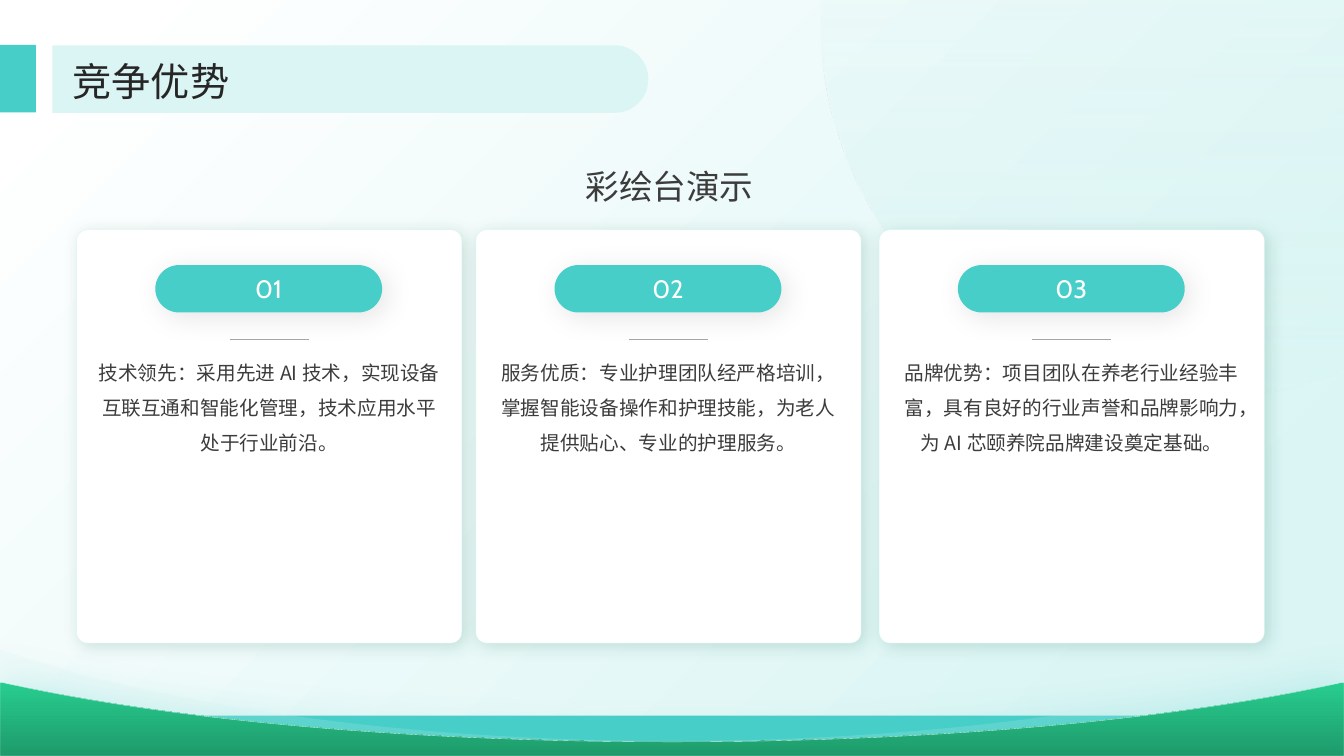
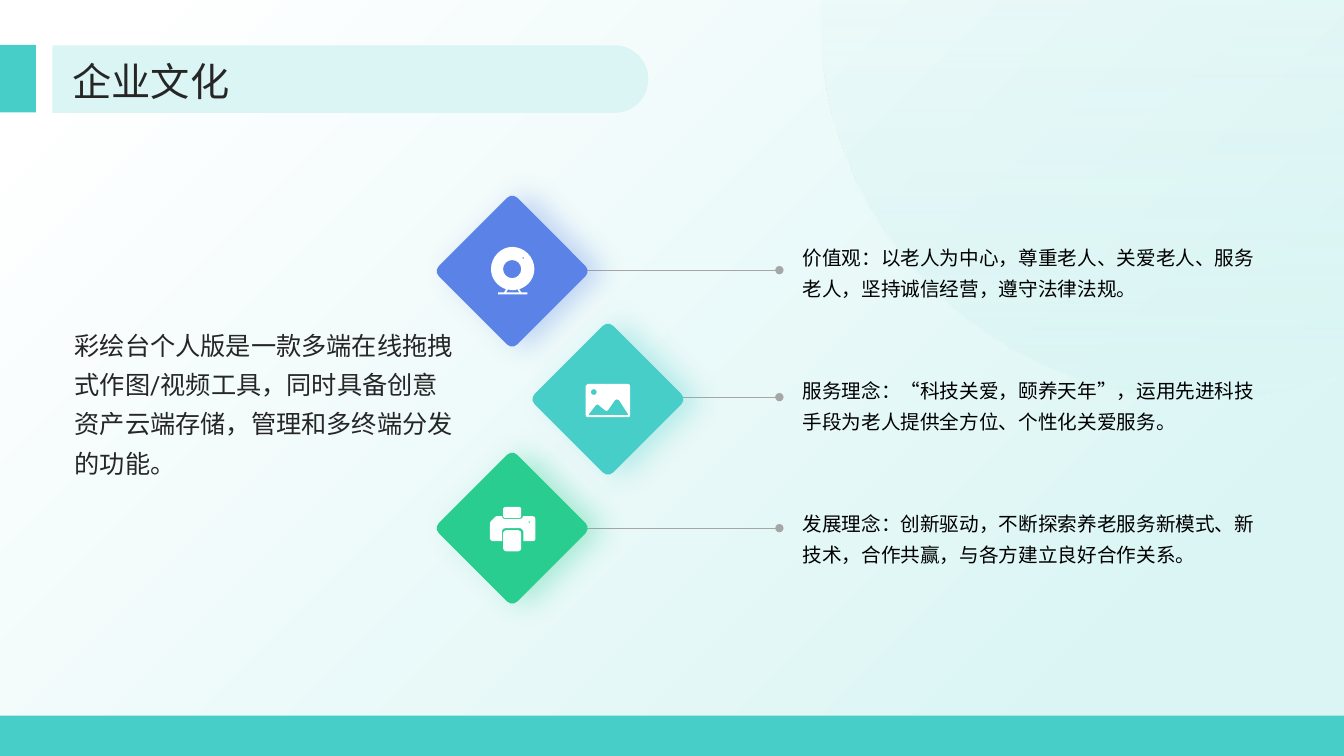
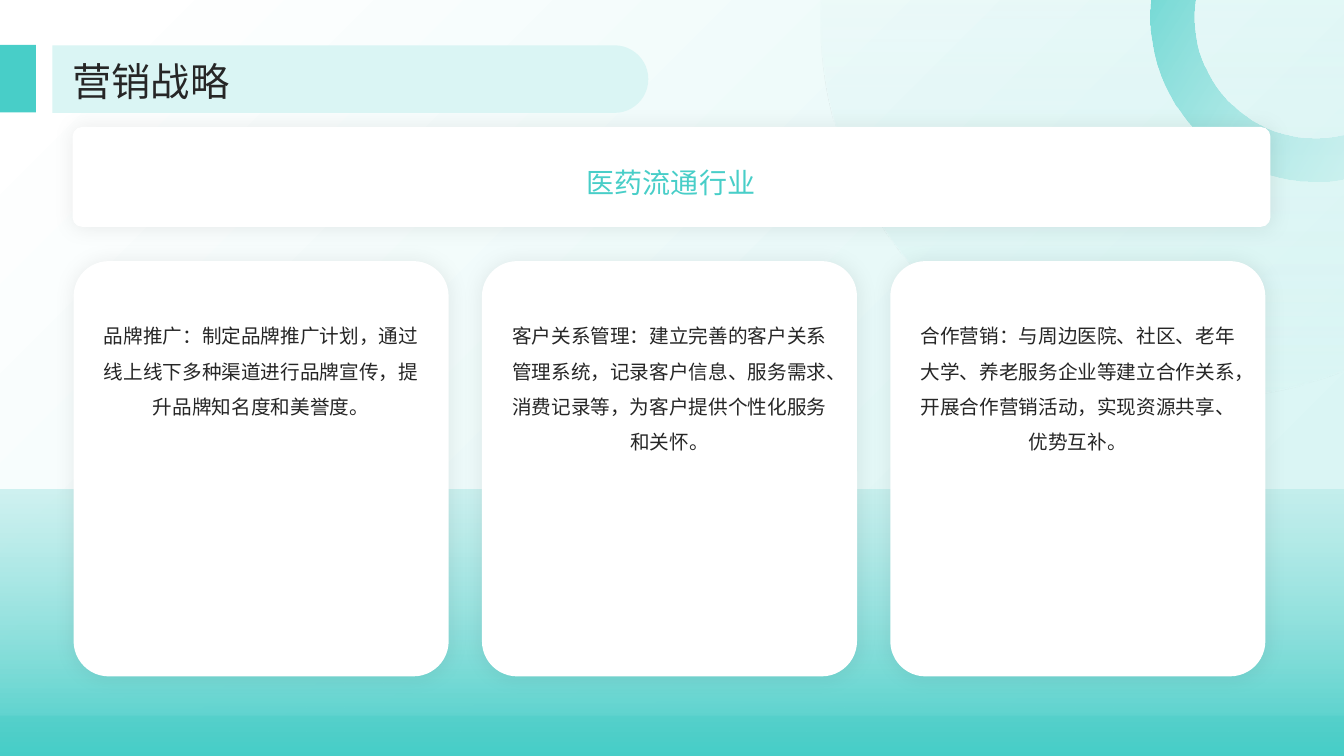
"""Build three slides on the advantages, culture and marketing of a care project."""
import lxml.etree
import pptx
import pptx.dml.color
import pptx.enum.shapes
import pptx.enum.text
import pptx.oxml.ns
import pptx.util

PX = 9144
PAGE_WIDTH, PAGE_HEIGHT = 1333, 750

RGB = pptx.dml.color.RGBColor
TEAL = RGB(0x48, 0xCE, 0xC8)
PALE = RGB(0xDA, 0xF5, 0xF4)
MIST = RGB(0xB6, 0xEB, 0xE9)
BLUE = RGB(0x5B, 0x83, 0xE7)
GREEN = RGB(0x28, 0xCD, 0x8F)
DEEP_GREEN = RGB(0x1E, 0x9A, 0x6B)
SHADE_GREEN = RGB(0x14, 0x66, 0x48)
WHITE = RGB(0xFF, 0xFF, 0xFF)
BLACK = RGB(0x00, 0x00, 0x00)
INK = RGB(0x26, 0x26, 0x26)
SLATE = RGB(0x3C, 0x3C, 0x3C)
GREY = RGB(0xA6, 0xA6, 0xA6)

SANS, CABIN, ROBOTO = "Noto Sans CJK SC", "Cabin", "Roboto"
SHAPE = pptx.enum.shapes.MSO_SHAPE
CENTER = pptx.enum.text.PP_ALIGN.CENTER
LEFT = pptx.enum.text.PP_ALIGN.LEFT
MIDDLE = pptx.enum.text.MSO_ANCHOR.MIDDLE
TOP = pptx.enum.text.MSO_ANCHOR.TOP

CARD_SHADOW = (SHADE_GREEN, 19, 12, 3, 45)
PILL_SHADOW = (BLACK, 10, 20, 5, 45)
PANEL_SHADOW = (BLACK, 8, 15, 0, 0)
WAVE_SHADOW = (TEAL, 26, 29, 3, 270)


def add_node(parent, tag, **attributes):
    """Append a drawing element to a parent."""
    node = lxml.etree.SubElement(parent, pptx.oxml.ns.qn("a:" + tag))
    for name, value in attributes.items():
        node.set(name, str(value))
    return node


def add_colour(parent, color, opacity):
    """Append a colour with an opacity in percent."""
    node = add_node(parent, "srgbClr", val=color)
    if opacity < 100:
        add_node(node, "alpha", val=opacity * 1000)


def style(shape, fill, opacity=100, line=None, shadow=None):
    """Set the fill, outline and shadow of a shape."""
    shape.fill.solid()
    shape.fill.fore_color.rgb = fill
    if opacity < 100:
        solid = shape.element.spPr.find(pptx.oxml.ns.qn("a:solidFill"))
        add_node(solid[0], "alpha", val=opacity * 1000)
    if line is None:
        shape.line.fill.background()
    else:
        shape.line.color.rgb = line
        shape.line.width = pptx.util.Pt(0.25)
    shape.shadow.inherit = False
    if shadow:
        color, strength, blur, distance, angle = shadow
        effects = shape.element.spPr.find(pptx.oxml.ns.qn("a:effectLst"))
        outer = add_node(effects, "outerShdw", blurRad=pptx.util.Pt(blur), dist=pptx.util.Pt(distance),
                         dir=angle * 60000, algn="ctr", rotWithShape=0)
        add_colour(outer, color, strength)


def blend(shape, angle, *stops):
    """Swap the solid fill for a gradient of (place, colour, opacity) stops."""
    solid = shape.element.spPr.find(pptx.oxml.ns.qn("a:solidFill"))
    gradient = lxml.etree.Element(pptx.oxml.ns.qn("a:gradFill"))
    gradient.set("rotWithShape", "1")
    stop_list = add_node(gradient, "gsLst")
    for place, color, opacity in stops:
        add_colour(add_node(stop_list, "gs", pos=place * 1000), color, opacity)
    add_node(gradient, "lin", ang=angle * 60000, scaled=0)
    solid.getparent().replace(solid, gradient)


def add_shape(page, kind, box, fill, adjust=(), rotation=0, **looks):
    """Add a preset shape in a px box."""
    shape = page.shapes.add_shape(kind, *(length * PX for length in box))
    for index, value in enumerate(adjust):
        shape.adjustments[index] = value
    shape.rotation = rotation
    style(shape, fill, **looks)
    return shape


def is_curve(step):
    """Tell a curve of three points from a single point."""
    return isinstance(step[0], tuple)


def add_outline(page, contours, fill, origin=(0, 0), **looks):
    """Add one freeform of closed contours made of points and cubic curves."""
    def place(point):
        return tuple(round((offset + value) * PX) for offset, value in zip(origin, point))

    builder = page.shapes.build_freeform(*place(contours[0][0]), scale=1.0)
    steps = []
    for index, contour in enumerate(contours):
        if index:
            builder.move_to(*place(contour[0]))
        builder.add_line_segments([place(step[-1] if is_curve(step) else step) for step in contour[1:]], close=True)
        steps += contour[1:]
    shape = builder.convert_to_shape()
    segments = list(shape.element.iter(pptx.oxml.ns.qn("a:lnTo")))
    for segment, step in zip(segments, steps):
        if is_curve(step):
            curve = lxml.etree.Element(pptx.oxml.ns.qn("a:cubicBezTo"))
            for point in step:
                x, y = place(point)
                add_node(curve, "pt", x=x - shape.left, y=y - shape.top)
            segment.getparent().replace(segment, curve)
    style(shape, fill, **looks)
    return shape


def add_line(page, start, end, color, dot=False):
    """Add a thin straight line, with a dot at its end if asked."""
    line = page.shapes.add_connector(pptx.enum.shapes.MSO_CONNECTOR.STRAIGHT,
                                     *(length * PX for length in start + end))
    line.line.color.rgb = color
    line.line.width = pptx.util.Pt(0.5)
    if dot:
        add_node(line.line._get_or_add_ln(), "tailEnd", type="oval")
    add_node(line.element.spPr, "effectLst")


def write(frame, text, size, color, font=SANS, align=LEFT, anchor=TOP, spacing=1.0, inset=(0, 0)):
    """Put one formatted paragraph in a text frame."""
    frame.word_wrap = True
    frame.vertical_anchor = anchor
    frame.margin_left = frame.margin_right = inset[0] * PX
    frame.margin_top = frame.margin_bottom = inset[1] * PX
    frame.text = text
    para = frame.paragraphs[0]
    para.alignment = align
    para.line_spacing = spacing
    span = para.runs[0]
    span.font.size = pptx.util.Pt(size)
    span.font.color.rgb = color
    span.font.name = font
    properties = span.font._element
    properties.set("lang", "zh-CN")
    add_node(properties, "ea", typeface=SANS)


def add_text(page, box, text, size, color, **looks):
    """Add a text box in a px box."""
    frame = page.shapes.add_textbox(*(length * PX for length in box)).text_frame
    write(frame, text, size, color, **looks)


def rounded(x, y, width, height, radius):
    """Return the contour of a rectangle with round corners."""
    pull = 0.45 * radius
    right, bottom = x + width, y + height
    contour = [(x + radius, y)]
    corners = (((right, y), (-1, 0), (0, 1)), ((right, bottom), (0, -1), (-1, 0)),
               ((x, bottom), (1, 0), (0, -1)), ((x, y), (0, 1), (1, 0)))
    for (corner_x, corner_y), (back_x, back_y), (on_x, on_y) in corners:
        if width > 2 * radius:
            contour.append((corner_x + back_x * radius, corner_y + back_y * radius))
        contour.append(((corner_x + back_x * pull, corner_y + back_y * pull),
                        (corner_x + on_x * pull, corner_y + on_y * pull),
                        (corner_x + on_x * radius, corner_y + on_y * radius)))
    return contour


def circle(x, y, radius):
    """Return the contour of a circle."""
    return rounded(x - radius, y - radius, 2 * radius, 2 * radius, radius)


WEBCAM = [[(0, -24), ((12, -24), (22, -14), (22, -2)), ((22, 7), (16, 15), (7, 18)), (9, 21), (15, 21),
           (15, 23), (-14, 23), (-14, 21), (-8, 21), (-6, 18), ((-15, 15), (-21, 7), (-21, -2)),
           ((-21, -14), (-11, -24), (0, -24))],
          [(-4, 18), (-6, 21), (7, 21), (5, 18), ((4, 19), (2, 19), (0, 19)), ((-1, 19), (-3, 19), (-4, 18))],
          circle(0, -2, 9), circle(11, -13, 1)]
PHOTO = [rounded(-22, -15, 44, 33, 2), circle(-14, -7, 3),
         [(-19, 16), (-19, 15), (-12, 6), ((-11, 5), (-10, 5), (-9, 6)), (-3, 11), ((-2, 12), (-1, 12), (0, 11)),
          (7, 1), ((8, 0), (10, 0), (11, 1)), (20, 15), (20, 16)]]
PRINTER = [rounded(-9, 2, 18, 21, 3),
           [(-10, -12), ((-10, -10), (-9, -9), (-7, -9)), (7, -9), ((9, -9), (11, -10), (11, -12)),
            (20, -12), ((22, -12), (23, -11), (23, -9)), (23, 11), ((23, 12), (22, 13), (20, 13)),
            (11, 13), (11, 3), ((11, 2), (9, 0), (8, 0)), (-7, 0), ((-9, 0), (-10, 1), (-10, 3)),
            (-10, 13), (-20, 13), ((-21, 13), (-22, 12), (-22, 11)), (-22, -5),
            ((-22, -5), (-22, -6), (-21, -7)), (-17, -11), ((-17, -11), (-16, -12), (-15, -12))],
           circle(17, -6, 1), rounded(-9, -21, 18, 11, 2)]


def add_backdrop(deck):
    """Add a page with the shared background and bottom band."""
    page = deck.slides.add_slide(deck.slide_layouts[6])
    wash = add_shape(page, SHAPE.RECTANGLE, (0, 0, PAGE_WIDTH, PAGE_HEIGHT), PALE, rotation=180)
    blend(wash, 45, (14, PALE, 100), (95, WHITE, 100))
    disc = add_shape(page, SHAPE.OVAL, (814, -359, 753, 753), PALE, rotation=45)
    blend(disc, 45, (40, PALE, 0), (100, PALE, 100))
    add_shape(page, SHAPE.RECTANGLE, (-7, 710, 1348, 40), TEAL)
    return page


def add_header(page, title):
    """Add the shared title bar."""
    add_shape(page, SHAPE.RECTANGLE, (-16, 60, 67, 36), TEAL, rotation=90)
    add_shape(page, SHAPE.ROUND_2_SAME_RECTANGLE, (314, -217, 67, 591), PALE, adjust=(0.5, 0), rotation=90)
    add_text(page, (72, 52, 1188, 51), title, 28, INK, anchor=MIDDLE, spacing=1.1)


def add_wave(page, edge, shoulder, bottom, fill, **looks):
    """Add a hill outline that sags from both page edges."""
    contour = [(0, edge), (2, edge), ((166, shoulder), (403, bottom), (667, bottom)),
               ((930, bottom), (1167, shoulder), (1331, edge)),
               (PAGE_WIDTH, edge), (PAGE_WIDTH, PAGE_HEIGHT), (0, PAGE_HEIGHT)]
    return add_outline(page, [contour], fill, **looks)


def add_numbered_card(page, left, top, number, text):
    """Add a card with a numbered pill, a rule and a body text."""
    add_shape(page, SHAPE.ROUNDED_RECTANGLE, (left, top, 382, 410), WHITE, adjust=(0.028,),
              line=PALE, shadow=CARD_SHADOW)
    add_shape(page, SHAPE.ROUNDED_RECTANGLE, (left + 78, top + 35, 225, 47), TEAL, adjust=(0.5,),
              shadow=PILL_SHADOW)
    add_text(page, (left + 70, top + 35, 241, 47), number, 18, WHITE, font=CABIN, align=CENTER, anchor=MIDDLE)
    add_line(page, (left + 152, top + 109), (left + 230, top + 109), GREY)
    add_text(page, (left + 19, top + 118, 344, 283), text, 14, SLATE, align=CENTER, spacing=1.5)


def add_value_row(page, center, line_y, text_top, color, icon, text):
    """Add a diamond with an icon, a leader line and a text."""
    x, y = center
    add_line(page, (x + 62, line_y), (773, line_y), GREY, dot=True)
    add_shape(page, SHAPE.ROUNDED_RECTANGLE, (x - 55, y - 55, 110, 110), color, adjust=(0.065,), rotation=45,
              shadow=(color, 32, 20, 10, 0))
    add_outline(page, icon, WHITE, origin=center)
    add_text(page, (796, text_top, 464, 79), text, 14, BLACK, spacing=1.3)


def add_panel(page, left, top, text):
    """Add a soft white panel with a body text."""
    add_shape(page, SHAPE.ROUNDED_RECTANGLE, (left, top, 372, 412), WHITE, adjust=(0.094,), shadow=PANEL_SHADOW)
    add_text(page, (left + 19, top + 46, 334, 335), text, 14, INK, align=CENTER, spacing=1.5, inset=(10, 5))


def build_advantages(deck):
    """Build the slide of three numbered cards."""
    page = add_backdrop(deck)
    add_wave(page, 645, 701, 735, PALE, opacity=18)
    hill = add_wave(page, 677, 714, 736, GREEN, line=PALE, shadow=WAVE_SHADOW)
    blend(hill, 90, (0, GREEN, 100), (100, DEEP_GREEN, 100))
    cards = ((76, "技术领先：采用先进 AI 技术，实现设备互联互通和智能化管理，技术应用水平处于行业前沿。"),
             (472, "服务优质：专业护理团队经严格培训，掌握智能设备操作和护理技能，为老人提供贴心、专业的护理服务。"),
             (872, "品牌优势：项目团队在养老行业经验丰富，具有良好的行业声誉和品牌影响力，为 AI 芯颐养院品牌建设奠定基础。"))
    for index, (left, text) in enumerate(cards):
        add_numbered_card(page, left, 228, f"{index + 1:02d}", text)
    add_text(page, (147, 153, 1034, 55), "彩绘台演示", 24, SLATE, font=CABIN, align=CENTER, spacing=1.3)
    add_header(page, "竞争优势")


def build_culture(deck):
    """Build the slide of three diamonds with leader lines."""
    page = add_backdrop(deck)
    rows = (((508, 269), 268, BLUE, WEBCAM,
             "价值观：以老人为中心，尊重老人、关爱老人、服务老人，坚持诚信经营，遵守法律法规。"),
            ((603, 396), 394, TEAL, PHOTO,
             "服务理念：“科技关爱，颐养天年”，运用先进科技手段为老人提供全方位、个性化关爱服务。"),
            ((508, 524), 524, GREEN, PRINTER,
             "发展理念：创新驱动，不断探索养老服务新模式、新技术，合作共赢，与各方建立良好合作关系。"))
    for index, (center, line_y, color, icon, text) in enumerate(rows):
        add_value_row(page, center, line_y, 237 + 132 * index, color, icon, text)
    add_text(page, (74, 268, 379, 257),
             "彩绘台个人版是一款多端在线拖拽式作图/视频工具，同时具备创意资产云端存储，管理和多终端分发的功能。",
             18, INK, font=ROBOTO, anchor=MIDDLE, spacing=1.3)
    add_header(page, "企业文化")


def build_marketing(deck):
    """Build the slide of a banner above three panels."""
    page = add_backdrop(deck)
    ring = add_shape(page, SHAPE.DONUT, (1141, -147, 327, 327), TEAL, adjust=(0.133,), rotation=256.7)
    blend(ring, 315, (0, MIST, 0), (100, TEAL, 100))
    floor = add_shape(page, SHAPE.RECTANGLE, (0, 486, PAGE_WIDTH, 264), TEAL)
    blend(floor, 90, (0, MIST, 61), (100, TEAL, 100))
    texts = ("品牌推广：制定品牌推广计划，通过线上线下多种渠道进行品牌宣传，提升品牌知名度和美誉度。",
             "客户关系管理：建立完善的客户关系管理系统，记录客户信息、服务需求、消费记录等，为客户提供个性化服务和关怀。",
             "合作营销：与周边医院、社区、老年大学、养老服务企业等建立合作关系，开展合作营销活动，实现资源共享、优势互补。")
    for index, text in enumerate(texts):
        add_panel(page, 73 + 405 * index, 259, text)
    add_shape(page, SHAPE.ROUNDED_RECTANGLE, (72, 126, 1188, 99), WHITE, adjust=(0.094,), shadow=PANEL_SHADOW)
    add_text(page, (98, 156, 1135, 41), "医药流通行业", 20, TEAL, font=CABIN, align=CENTER, spacing=1.1,
             inset=(10, 5))
    add_header(page, "营销战略")


def main():
    """Build and save the deck."""
    deck = pptx.Presentation()
    deck.slide_width, deck.slide_height = PAGE_WIDTH * PX, PAGE_HEIGHT * PX
    build_advantages(deck)
    build_culture(deck)
    build_marketing(deck)
    deck.save("out.pptx")


if __name__ == "__main__":
    main()
